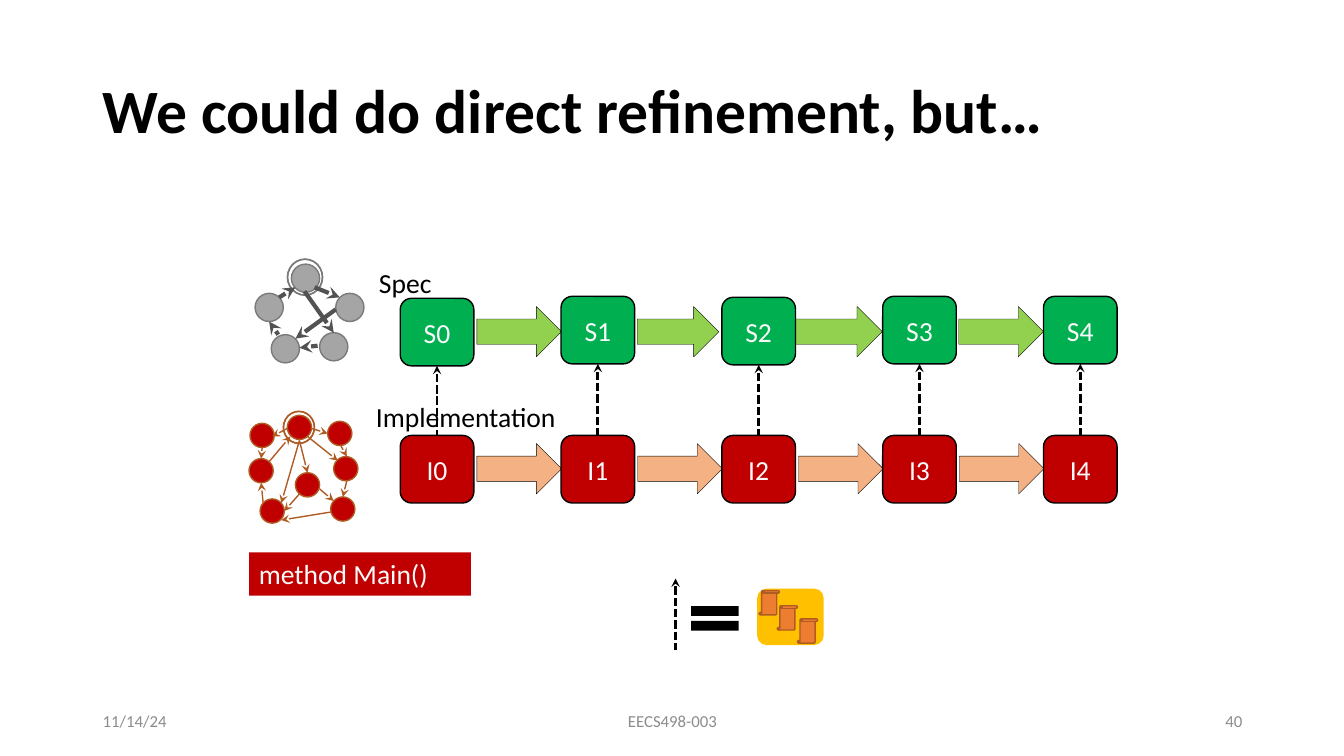
from dataclasses import dataclass

from lxml.etree import SubElement
from pptx import Presentation
from pptx.dml.color import RGBColor
from pptx.enum.dml import MSO_LINE
from pptx.enum.shapes import MSO_CONNECTOR, MSO_SHAPE as Preset
from pptx.enum.text import MSO_ANCHOR as Anchor, MSO_AUTO_SIZE as AutoSize, PP_ALIGN as Align
from pptx.oxml.ns import qn
from pptx.shapes.autoshape import Shape
from pptx.shapes.connector import Connector
from pptx.shapes.shapetree import GroupShapes, SlideShapes
from pptx.util import Inches, Pt

COLORS = {
    "black": "000000", "white": "FAFAFA", "footer": "8C8C8C",
    "gray": "A5A5A5", "gray_line": "7A7A7A", "gray_edge": "525252",
    "red": "C00000", "rust": "AF5C24", "orange": "ED7D31", "peach": "F4B183",
    "green": "00B050", "lime": "92D050", "gold": "FFC000",
}
FONT = "Calibri"
BODY_SIZE = 19.7
STATE_LEFT, STATE_PITCH = 3.97, 6.38 / 4
STATE_WIDTH, STATE_HEIGHT = 0.73, 0.67
ARROW_BREADTH = 0.5

Point = tuple[float, float]
Box = tuple[float, float, float, float]
Shapes = SlideShapes | GroupShapes


@dataclass(frozen=True)
class Automaton:
    diameter: float
    nodes: tuple[Point, ...]
    initial_ring: Box
    edges: tuple[tuple[Point, Point], ...]
    node_fill: str
    ring_fill: str
    outline: str
    edge_color: str
    edge_width: float


@dataclass(frozen=True)
class Execution:
    prefix: str
    tops: tuple[float, ...]
    arrows: tuple[Point, ...]
    arrow_middle: float
    state_fill: str
    arrow_fill: str


@dataclass(frozen=True)
class Caption:
    text: str
    box: Box
    size: float = BODY_SIZE
    color: str = "black"
    align: Align = Align.LEFT
    anchor: Anchor = Anchor.TOP
    wrap: bool = True
    bold: bool = False
    grow: bool = False
    line_spacing: float | None = None


SPEC_AUTOMATON = Automaton(
    0.28,
    ((2.53, 2.91), (3.33, 2.91), (2.69, 3.32), (2.89, 2.62), (3.17, 3.3)),
    (2.85, 2.57, 0.35, 0.36),
    (((2.77, 2.95), (2.93, 2.85)), ((3.12, 2.85), (3.37, 2.95)),
     ((3.02, 2.89), (3.31, 3.3)), ((3.33, 3.07), (2.93, 3.36)),
     ((3.15, 3.43), (2.97, 3.45)), ((2.76, 3.32), (2.67, 3.19))),
    "gray", "gray", "gray_line", "gray_edge", 3,
)
IMPL_AUTOMATON = Automaton(
    0.24,
    ((2.47, 4.55), (3.31, 4.53), (2.58, 4.95), (2.85, 4.12),
     (3.28, 4.93), (3.25, 4.18), (2.48, 4.2), (2.93, 4.69)),
    (2.81, 4.08, 0.31, 0.32),
    (((2.67, 4.58), (2.88, 4.33)), ((3.05, 4.33), (3.35, 4.57)),
     ((2.97, 4.37), (3.05, 4.69)), ((2.97, 4.37), (2.79, 4.99)),
     ((2.97, 4.9), (2.82, 5.07)), ((2.61, 4.99), (2.59, 4.79)),
     ((3.09, 4.25), (3.25, 4.3)), ((3.38, 4.42), (3.44, 4.53)),
     ((3.44, 4.77), (3.4, 4.93)), ((3.17, 4.85), (3.31, 4.97)),
     ((2.85, 4.25), (2.7, 4.33)), ((2.6, 4.44), (2.59, 4.55)),
     ((3.28, 5.08), (2.79, 5.16))),
    "red", "orange", "rust", "rust", 1,
)
SPEC_RUN = Execution(
    "S", (2.96, 2.94, 2.95, 2.94, 2.94),
    ((4.73, 0.84), (6.32, 0.81), (7.89, 0.86), (9.51, 0.84)),
    3.29, "green", "lime",
)
IMPL_RUN = Execution(
    "I", (4.32,) * 5,
    tuple((4.73 + STATE_PITCH * step, 0.84) for step in range(4)),
    4.65, "red", "peach",
)
CAPTIONS = (
    Caption("We could do direct refinement, but…", (0.92, 0.4, 11.5, 1.45), 44,
            anchor=Anchor.MIDDLE, bold=True, line_spacing=0.9),
    Caption("Spec", (3.66, 2.59, 0.72, 0.43), wrap=False, grow=True),
    Caption("Implementation", (3.63, 3.92, 1.98, 0.43), wrap=False, grow=True),
    Caption("11/14/24", (0.92, 6.95, 3, 0.4), 12, "footer", anchor=Anchor.MIDDLE),
    Caption("EECS498-003", (4.42, 6.95, 4.5, 0.4), 12, "footer", Align.CENTER, Anchor.MIDDLE),
    Caption("40", (9.42, 6.95, 3, 0.4), 12, "footer", Align.RIGHT, Anchor.MIDDLE),
)
MAIN_METHOD = Caption("method Main()", (2.47, 5.48, 2.2, 0.43), color="white", grow=True)
PROOF_SCROLLS = ((7.53, 5.86), (7.71, 6.01), (7.91, 6.14))


def rgb(name: str) -> RGBColor:
    return RGBColor.from_string(COLORS[name])


def write(shape: Shape, caption: Caption) -> None:
    frame = shape.text_frame
    frame.text = caption.text
    frame.word_wrap = caption.wrap
    frame.vertical_anchor = caption.anchor
    if caption.grow:
        frame.auto_size = AutoSize.SHAPE_TO_FIT_TEXT
    paragraph = frame.paragraphs[0]
    paragraph.alignment = caption.align
    paragraph.line_spacing = caption.line_spacing
    font = paragraph.runs[0].font
    font.name, font.size, font.bold = FONT, Pt(caption.size), caption.bold
    font.color.rgb = rgb(caption.color)


def draw_shape(shapes: Shapes, preset: Preset, box: Box, fill: str,
               outline: str | None = None, width: float = 1) -> Shape:
    shape = shapes.add_shape(preset, *map(Inches, box))
    shape.shadow.inherit = False
    shape.fill.solid()
    shape.fill.fore_color.rgb = rgb(fill)
    if outline:
        shape.line.color.rgb = rgb(outline)
        shape.line.width = Pt(width)
    else:
        shape.line.fill.background()
    return shape


def draw_line(shapes: Shapes, start: Point, end: Point, color: str, width: float,
              arrow_end: str, dashed: bool = False) -> Connector:
    line = shapes.add_connector(MSO_CONNECTOR.STRAIGHT, *map(Inches, start + end))
    line.line.color.rgb = rgb(color)
    line.line.width = Pt(width)
    if dashed:
        line.line.dash_style = MSO_LINE.SQUARE_DOT
    properties = line._element.spPr
    SubElement(properties.find(qn("a:ln")), qn(f"a:{arrow_end}"), type="stealth")
    SubElement(properties, qn("a:effectLst"))
    return line


def draw_refinement(shapes: Shapes, top: Point, bottom: Point) -> Connector:
    return draw_line(shapes, top, bottom, "black", 2, "headEnd", dashed=True)


def draw_automaton(shapes: Shapes, automaton: Automaton) -> None:
    size = automaton.diameter
    for left, top in automaton.nodes:
        draw_shape(shapes, Preset.OVAL, (left, top, size, size),
                   automaton.node_fill, automaton.outline)
    ring = draw_shape(shapes, Preset.DONUT, automaton.initial_ring,
                      automaton.ring_fill, automaton.outline)
    ring.adjustments[0] = 0.008
    for start, end in automaton.edges:
        draw_line(shapes, start, end, automaton.edge_color, automaton.edge_width, "tailEnd")


def draw_execution(shapes: Shapes, run: Execution) -> list[Shape]:
    for start, length in run.arrows:
        box = (start + (length - ARROW_BREADTH) / 2, run.arrow_middle - length / 2,
               ARROW_BREADTH, length)
        draw_shape(shapes, Preset.DOWN_ARROW, box, run.arrow_fill, "black", 0.25).rotation = 270
    states = []
    for step, top in enumerate(run.tops):
        box = (STATE_LEFT + STATE_PITCH * step, top, STATE_WIDTH, STATE_HEIGHT)
        state = draw_shape(shapes, Preset.ROUNDED_RECTANGLE, box, run.state_fill, "black")
        write(state, Caption(f"{run.prefix}{step}", box, color="white",
                             align=Align.CENTER, anchor=Anchor.MIDDLE))
        state.text_frame.margin_left = state.text_frame.margin_right = 0
        states.append(state)
    return states


def draw_legend(shapes: Shapes) -> None:
    draw_shape(shapes, Preset.ROUNDED_RECTANGLE, (7.51, 5.84, 0.66, 0.56), "gold")
    for left, top in PROOF_SCROLLS:
        draw_shape(shapes, Preset.VERTICAL_SCROLL, (left, top, 0.2, 0.24), "orange", "rust")
    draw_refinement(shapes, (6.7, 5.74), (6.7, 6.45))
    draw_shape(shapes, Preset.MATH_EQUAL, (6.77, 5.93, 0.64, 0.41), "black")


def main() -> None:
    deck = Presentation()
    deck.slide_width, deck.slide_height = Inches(13.33), Inches(7.5)
    shapes = deck.slides.add_slide(deck.slide_layouts[6]).shapes
    for caption in CAPTIONS:
        write(shapes.add_textbox(*map(Inches, caption.box)), caption)
    for automaton in (SPEC_AUTOMATON, IMPL_AUTOMATON):
        draw_automaton(shapes.add_group_shape().shapes, automaton)
    spec_states, impl_states = (
        draw_execution(shapes.add_group_shape().shapes, run) for run in (SPEC_RUN, IMPL_RUN))
    for spec_state, impl_state in zip(spec_states, impl_states):
        refinement = draw_refinement(shapes, (0, 0), (0, 0))
        refinement.begin_connect(spec_state, 2)
        refinement.end_connect(impl_state, 0)
    write(draw_shape(shapes, Preset.RECTANGLE, MAIN_METHOD.box, "red"), MAIN_METHOD)
    draw_legend(shapes.add_group_shape().shapes)
    deck.save("out.pptx")


if __name__ == "__main__":
    main()
